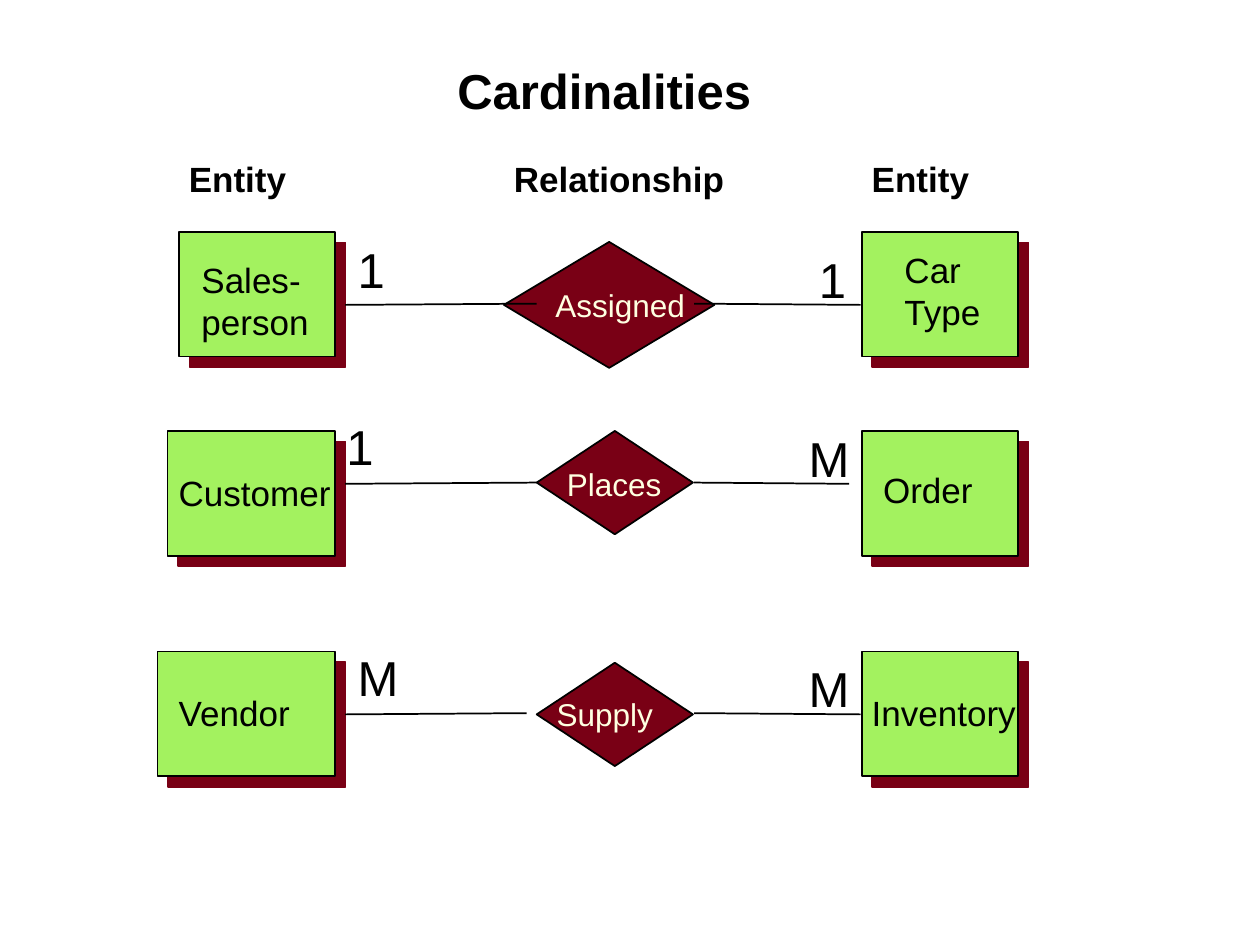
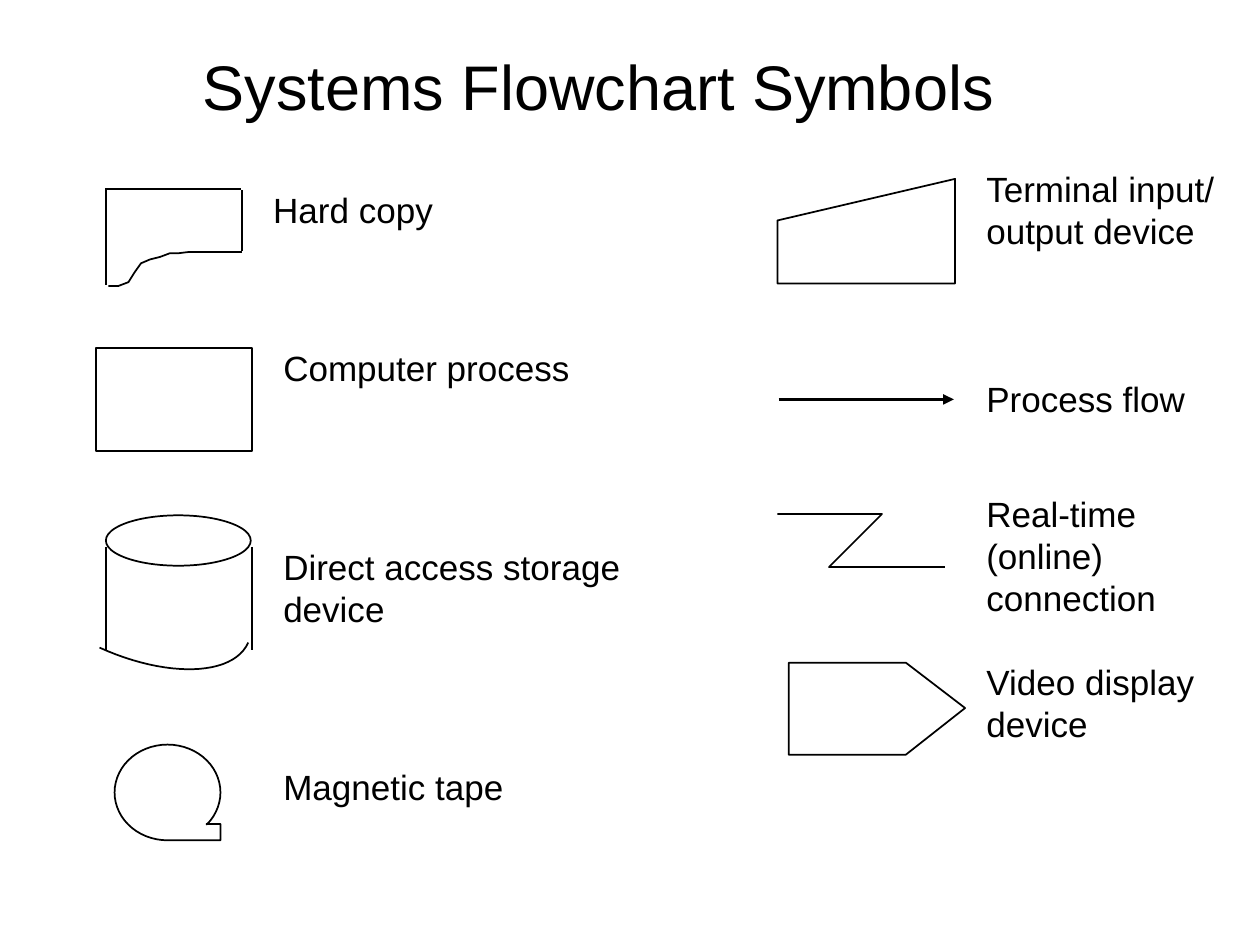
"""Build two slides: entity cardinalities and systems flowchart symbols."""
import math

from lxml import etree
from pptx import Presentation
from pptx import util as u
from pptx.dml.color import RGBColor
from pptx.enum import shapes, text
from pptx.oxml import ns

COLORS = {"ink": "000000", "entity": "A3F25F", "maroon": "790015", "cream": "FFFFE1"}
FRAME = {
    "margin_left": u.Inches(0.1), "margin_right": u.Inches(0.1),
    "margin_top": u.Inches(0.05), "margin_bottom": u.Inches(0.05),
    "vertical_anchor": text.MSO_ANCHOR.TOP,
    "auto_size": text.MSO_AUTO_SIZE.SHAPE_TO_FIT_TEXT,
}
FONT = {"name": "Arial", "size": u.Pt(20), "bold": False}


def inches(*values):
    """Convert numbers to lengths."""
    return [u.Inches(value) for value in values]


def assign(target, values):
    """Set each named attribute on the target."""
    for name, value in values.items():
        setattr(target, name, value)


def child(parent, tag, **attributes):
    """Append a drawing element with attributes."""
    return etree.SubElement(parent, ns.qn(tag), attributes)


class Deck:
    """Holds the shared style and the current slide."""

    def __init__(self):
        """Start an empty presentation."""
        self.presentation = Presentation()
        assign(self.presentation, {"slide_width": u.Inches(10), "slide_height": u.Inches(7.5)})
        self.slide = None

    def new_slide(self):
        """Add a blank slide and make it current."""
        self.slide = self.presentation.slides.add_slide(self.presentation.slide_layouts[6])

    def stroke(self, item, width=1):
        """Give a shape or connector an ink line."""
        item.line.color.rgb = RGBColor.from_string(COLORS["ink"])
        item.line.width = u.Pt(width)

    def style(self, shape, fill):
        """Set fill and line and remove the shadow."""
        shape.shadow.inherit = False
        if fill:
            shape.fill.solid()
            shape.fill.fore_color.rgb = RGBColor.from_string(COLORS[fill])
        else:
            shape.fill.background()
        self.stroke(shape)

    def shape(self, kind, box, fill=None):
        """Add a preset shape."""
        shape = self.slide.shapes.add_shape(kind, *inches(*box))
        self.style(shape, fill)
        return shape

    def entity(self, box):
        """Add an entity box with a hard offset shadow."""
        shape = self.shape(shapes.MSO_SHAPE.RECTANGLE, box, "entity")
        effects = shape._element.spPr.find(ns.qn("a:effectLst"))
        shadow = child(effects, "a:outerShdw", blurRad="0", dist=str(u.Pt(8.5)),
                       dir="2700000", algn="ctr", rotWithShape="0")
        child(shadow, "a:srgbClr", val=COLORS["maroon"])

    def line(self, start, end, width=1, arrow=False):
        """Add a straight line, with an arrowhead if asked."""
        line = self.slide.shapes.add_connector(
            shapes.MSO_CONNECTOR.STRAIGHT, *inches(*start, *end))
        self.stroke(line, width)
        if arrow:
            child(line.line._get_or_add_ln(), "a:tailEnd", type="triangle")
        child(line._element.spPr, "a:effectLst")

    def outline(self, points, close=False):
        """Add an unfilled freeform through the points."""
        first, *rest = [inches(*point) for point in points]
        builder = self.slide.shapes.build_freeform(*first)
        builder.add_line_segments(rest, close=close)
        self.style(builder.convert_to_shape(), None)

    def text_box(self, box, words, color="ink", wrap=False, align=text.PP_ALIGN.LEFT, **font):
        """Add a text box with one paragraph per line."""
        frame = self.slide.shapes.add_textbox(*inches(*box)).text_frame
        assign(frame, {**FRAME, "word_wrap": wrap, "text": words})
        for paragraph in frame.paragraphs:
            paragraph.alignment = align
            assign(paragraph.font, {**FONT, **font})
            paragraph.font.color.rgb = RGBColor.from_string(COLORS[color])

    def label(self, box, words, **options):
        """Add an unwrapped label with a little room to spare."""
        left, top, width, height = box
        self.text_box((left, top, width + 0.1, height), words, **options)

    def title(self, box, words, **font):
        """Add a centred slide title."""
        self.text_box(box, words, wrap=True, align=text.PP_ALIGN.CENTER, **font)


def cardinalities(deck):
    """Draw three entity-relationship rows."""
    deck.new_slide()
    deck.title((1.92, 0.43, 5.75, 0.57), "Cardinalities", size=u.Pt(28), bold=True)
    for left, width, heading in ((1.4, 0.97, "Entity"), (3.98, 1.87, "Relationship"),
                                 (6.82, 0.97, "Entity")):
        deck.label((left, 1.2, width, 0.43), heading, bold=True)

    rows = [
        {"top": 1.84, "left": 1.42, "diamond": (4, 1.92, 1.67, 1),
         "line_y": 2.42, "ends": (4.26, 6.83),
         "names": [((1.5, 2, 1.05, 0.76), "Sales-\nperson"),
                   ((7.08, 1.92, 0.82, 0.76), "Car\nType")],
         "relation": ((4.31, 2.22, 1.23, 0.4), "Assigned"),
         "counts": [((2.74, 1.85, 0.41, 0.56), "1"), ((6.4, 1.93, 0.41, 0.56), "1")]},
        {"top": 3.42, "left": 1.33, "diamond": (4.26, 3.42, 1.24, 0.82),
         "line_y": 3.84, "ends": (4.26, 6.74),
         "names": [((1.32, 3.69, 1.4, 0.43), "Customer"), ((6.91, 3.67, 0.91, 0.43), "Order")],
         "relation": ((4.4, 3.64, 0.95, 0.4), "Places"),
         "counts": [((2.65, 3.26, 0.41, 0.56), "1"), ((6.32, 3.35, 0.52, 0.56), "M")]},
        {"top": 5.17, "left": 1.25, "diamond": (4.26, 5.26, 1.24, 0.82),
         "line_y": 5.67, "ends": (4.18, 6.83),
         "names": [((1.32, 5.44, 1.1, 0.43), "Vendor"),
                   ((6.82, 5.44, 1.34, 0.43), "Inventory")],
         "relation": ((4.32, 5.47, 0.96, 0.4), "Supply"),
         "counts": [((2.74, 5.09, 0.52, 0.56), "M"), ((6.32, 5.18, 0.52, 0.56), "M")]},
    ]
    for row in rows:
        for left, right in ((row["left"], 2.66), (6.84, 8.08)):
            deck.entity((left, row["top"], right - left, 0.99))
        deck.shape(shapes.MSO_SHAPE.DIAMOND, row["diamond"], "maroon")
        left_end, right_end = row["ends"]
        for inner, outer in ((left_end, 2.74), (5.51, right_end)):
            deck.line((inner, row["line_y"] - 0.01), (outer, row["line_y"]))
        for box, name in row["names"]:
            deck.label(box, name)
        deck.label(*row["relation"], color="cream", size=u.Pt(18))
        for box, count in row["counts"]:
            deck.label(box, count, size=u.Pt(28))


def curve(points, steps=24):
    """Return points along a cubic Bezier curve."""
    return [tuple(sum(math.comb(3, i) * (1 - t) ** (3 - i) * t ** i * point[axis]
                      for i, point in enumerate(points)) for axis in (0, 1))
            for t in (step / steps for step in range(steps + 1))]


def hard_copy(deck):
    """Draw the torn page symbol."""
    for start, end in (((0.84, 1.5), (1.91, 1.5)), ((1.92, 1.51), (1.92, 1.99)),
                       ((0.84, 2.26), (0.84, 1.49)), ((1.92, 2), (1.49, 2))):
        deck.line(start, end)
    deck.outline([(1.5, 2), (1.42, 2.01), (1.35, 2.01), (1.27, 2.04), (1.19, 2.06),
                  (1.12, 2.09), (1.07, 2.16), (1.02, 2.24), (0.94, 2.27), (0.86, 2.27)])


def storage(deck):
    """Draw the direct access storage cylinder."""
    for x in (0.84, 2):
        deck.line((x, 4.34), (x, 5.16))
    deck.shape(shapes.MSO_SHAPE.OVAL, (0.84, 4.09, 1.15, 0.4))
    deck.outline(curve([(1.97, 5.1), (1.85, 5.37), (1.32, 5.38), (0.79, 5.14)]))


def tape(deck):
    """Draw the magnetic tape reel with its tail."""
    arc = [(1.33 + 0.42 * math.cos(math.radians(angle)),
            6.29 + 0.38 * math.sin(math.radians(angle))) for angle in range(90, 403, 6)]
    deck.outline([(1.64, 6.54), (1.75, 6.54), (1.75, 6.67), *arc], close=True)


def flowchart_symbols(deck):
    """Draw the symbols and their labels in two columns."""
    deck.new_slide()
    deck.title((1, 0.33, 7.5, 0.7), "Systems Flowchart Symbols", size=u.Pt(36))
    hard_copy(deck)
    deck.shape(shapes.MSO_SHAPE.RECTANGLE, (0.76, 2.76, 1.24, 0.82))
    storage(deck)
    tape(deck)
    deck.outline([(6.17, 1.75), (6.17, 2.25), (7.58, 2.25), (7.58, 1.42)], close=True)
    deck.line((6.18, 3.17), (7.57, 3.17), width=2, arrow=True)
    deck.outline([(6.17, 4.08), (7, 4.08), (6.58, 4.5), (7.5, 4.5)])
    deck.outline([(6.26, 5.26), (7.19, 5.26), (7.66, 5.62), (7.19, 5.99), (6.26, 5.99)],
                 close=True)
    for left, top, width, words in (
            (2.07, 1.45, 1.47, "Hard copy"),
            (2.15, 2.7, 2.47, "Computer process"),
            (2.15, 4.28, 2.87, "Direct access storage\ndevice"),
            (2.15, 6.03, 1.95, "Magnetic tape"),
            (7.73, 1.28, 2.04, "Terminal input/\noutput device"),
            (7.73, 2.95, 1.78, "Process flow"),
            (7.73, 3.86, 1.54, "Real-time\n(online)\nconnection"),
            (7.73, 5.19, 1.85, "Video display\ndevice")):
        deck.label((left, top, width, 0.43 + 0.33 * words.count("\n")), words)


def main():
    """Build and save the presentation."""
    deck = Deck()
    cardinalities(deck)
    flowchart_symbols(deck)
    deck.presentation.save("out.pptx")


if __name__ == "__main__":
    main()
